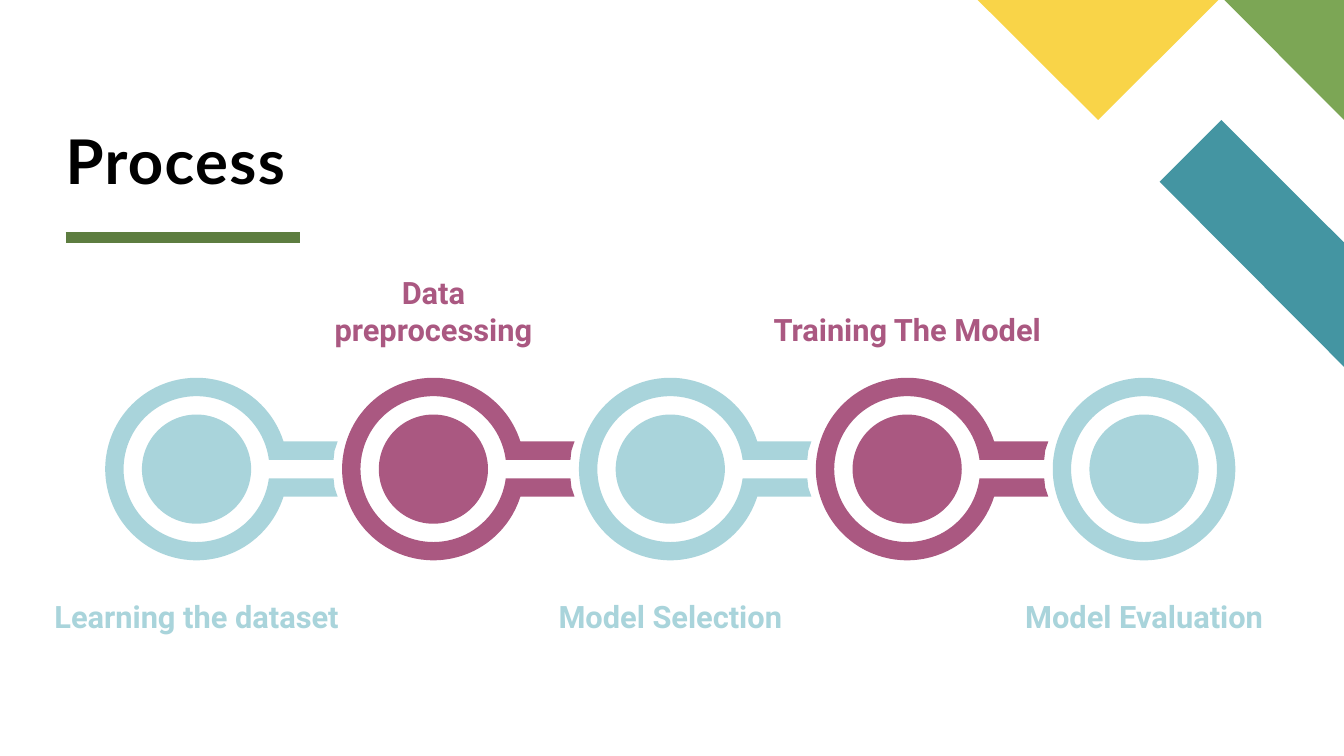
import math
from lxml import etree
from pptx import Presentation
from pptx import util as u
from pptx.dml.color import RGBColor
from pptx.enum import shapes, text
from pptx.oxml.ns import qn

# Content
COLORS = {"pale": "A9D4DB", "plum": "AA5881", "teal": "4495A2", "green": "7CA655",
          "yellow": "F9D448", "rule": "5D7D40", "black": "000000"}
TITLE = "Process"
STEPS = [  # label, label width, colour, label top
    ("Learning the dataset", 228, "pale", 423.4),
    ("Data preprocessing", 181, "plum", 218.2),
    ("Model Selection", 181, "pale", 423.4),
    ("Training The Model", 240, "plum", 218.2),
    ("Model Evaluation", 181, "pale", 423.4),
]
CORNER = [
    ("teal", [(960, 262), (960, 173.2), (872.4, 85.7), (828.3, 129.8)]),
    ("green", [(960, 85.7), (960, 0), (874.6, 0)]),
    ("yellow", [(698.4, 0), (784.4, 85.7), (870.4, 0)]),
]

# Geometry of the chain
FIRST_X, STEP_X, CENTER_Y = 140.4, 169.2, 335.1
OUTER, INNER, DOT = 65.2, 52.1, 39
ARM_OUTER, ARM_INNER = 19.7, 6.6
ARM_TIP = [(100.8, -ARM_OUTER), (98.6, -13.2), (97.9, -ARM_INNER)]
LABEL_HEIGHT = 33.8


def color(name):
    return RGBColor.from_string(COLORS[name])


def paint(shape, name):
    shape.shadow.inherit = False
    shape.fill.solid()
    shape.fill.fore_color.rgb = color(name)
    shape.line.fill.background()


def add_outline(slide, points, name):
    points = [(u.Pt(x), u.Pt(y)) for x, y in points]
    builder = slide.shapes.build_freeform(*points[0], scale=1.0)
    builder.add_line_segments(points[1:], close=True)
    shape = builder.convert_to_shape()
    paint(shape, name)
    return shape


def add_round(slide, kind, center_x, radius, name):
    shape = slide.shapes.add_shape(kind, u.Pt(center_x - radius), u.Pt(CENTER_Y - radius),
                                   u.Pt(2 * radius), u.Pt(2 * radius))
    paint(shape, name)
    return shape


def arc_angles(radius, gap):
    """Degrees from the lower edge of the opening, by quarters, to the upper edge."""
    start = math.degrees(math.asin(gap / radius))
    return [start, 90, 180, 270, 360 - start]


def arc_points(radius, angles):
    return [(radius * math.cos(math.radians(a)), radius * math.sin(math.radians(a)))
            for a in angles]


def add_link(slide, center_x, name):
    outer = arc_angles(OUTER, ARM_OUTER)
    inner = arc_angles(INNER, ARM_INNER)[::-1]
    lower_tip = [(x, -y) for x, y in reversed(ARM_TIP)]
    points = arc_points(OUTER, outer) + ARM_TIP + arc_points(INNER, inner) + lower_tip
    shape = add_outline(slide, [(center_x + x, CENTER_Y + y) for x, y in points], name)

    # Bend the straight segments of both rings into arcs
    segments = list(next(shape._element.iter(qn("a:path"))))
    inner_first = len(outer) + len(ARM_TIP)
    for radius, angles, first in ((OUTER, outer, 0), (INNER, inner, inner_first)):
        for i in range(1, len(angles)):
            arc = etree.Element(qn("a:arcTo"))
            arc.set("wR", str(u.Pt(radius)))
            arc.set("hR", str(u.Pt(radius)))
            arc.set("stAng", str(round(angles[i - 1] * 60000)))
            arc.set("swAng", str(round((angles[i] - angles[i - 1]) * 60000)))
            line = segments[first + i]
            line.getparent().replace(line, arc)


def add_text(slide, box, words, font, size, name):
    frame = slide.shapes.add_textbox(*(u.Pt(n) for n in box)).text_frame
    frame.word_wrap = True
    frame.vertical_anchor = text.MSO_ANCHOR.BOTTOM
    frame.margin_left = frame.margin_right = u.Pt(0)
    paragraph = frame.paragraphs[0]
    run = paragraph.add_run()
    run.text = words
    run.font.name, run.font.size, run.font.bold = font, u.Pt(size), True
    run.font.color.rgb = color(name)
    return frame, paragraph, run


def main():
    presentation = Presentation()
    presentation.slide_width, presentation.slide_height = u.Pt(960), u.Pt(540)
    slide = presentation.slides.add_slide(presentation.slide_layouts[6])

    # Corner decoration
    for name, points in CORNER:
        add_outline(slide, points, name)

    # Title and its rule
    rule = slide.shapes.add_connector(shapes.MSO_CONNECTOR.STRAIGHT, u.Pt(46.8), u.Pt(169.4),
                                      u.Pt(214.6), u.Pt(169.4))
    rule.line.color.rgb = color("rule")
    rule.line.width = u.Pt(8)
    etree.SubElement(rule._element.spPr, qn("a:effectLst"))
    frame, paragraph, run = add_text(slide, (46.8, 23, 769.7, 117.4), TITLE, "Lato", 44, "black")
    frame.margin_top = frame.margin_bottom = u.Pt(0)
    paragraph.line_spacing = 0.8
    run._r.get_or_add_rPr().set("spc", "100")

    # Chain of steps: an open ring with an arm, the last one a closed ring
    for i, (label, width, name, top) in enumerate(STEPS):
        center_x = FIRST_X + i * STEP_X
        if i < len(STEPS) - 1:
            add_link(slide, center_x, name)
        else:
            ring = add_round(slide, shapes.MSO_SHAPE.DONUT, center_x, OUTER, name)
            ring.adjustments[0] = (OUTER - INNER) / (2 * OUTER)
        add_round(slide, shapes.MSO_SHAPE.OVAL, center_x, DOT, name)
        box = (center_x - width / 2, top, width, LABEL_HEIGHT)
        _, paragraph, _ = add_text(slide, box, label, "Roboto", 22, name)
        paragraph.alignment = text.PP_ALIGN.CENTER

    presentation.save("out.pptx")


if __name__ == "__main__":
    main()
